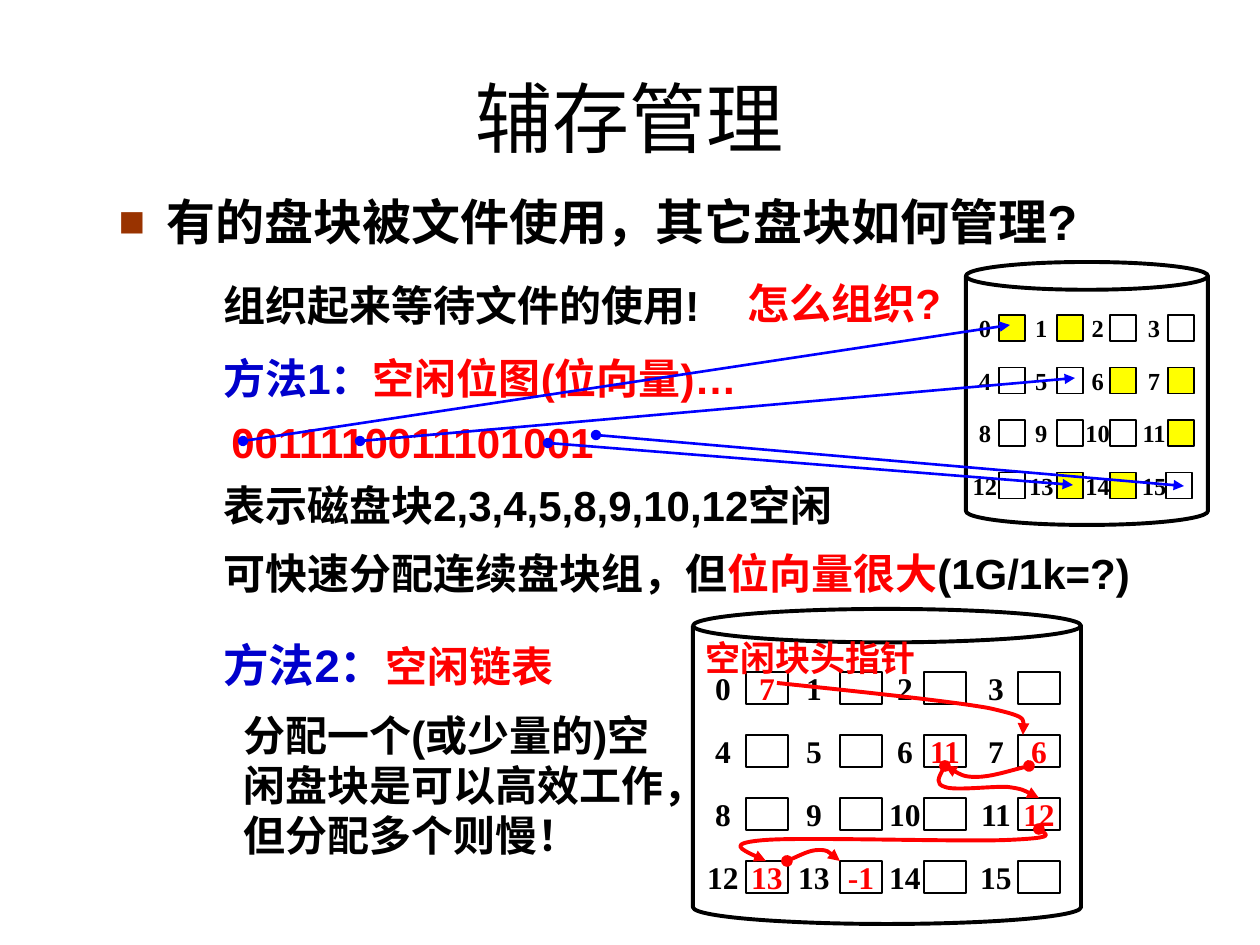
from lxml.etree import SubElement
from pptx import Presentation
from pptx.dml.color import RGBColor
from pptx.enum.shapes import MSO_CONNECTOR, MSO_SHAPE
from pptx.enum.text import MSO_ANCHOR, MSO_AUTO_SIZE, PP_ALIGN
from pptx.oxml.ns import qn
from pptx.util import Emu, Pt

BLACK, RED, NAVY, BLUE, YELLOW, WHITE = "000000", "FF0000", "0000CC", "0000FF", "FFFF00", "FFFFFF"
SANS, CJK, SERIF = "Arial", "Noto Sans CJK SC", "Times New Roman"

STATEMENTS = [
    ((211, 253, 1040, 83), 1.4, [("组织起来等待文件的使用!", BLACK)]),
    ((211, 326, 1040, 83), 1.4, [("方法1：", NAVY), ("空闲位图(位向量)…", RED)]),
    ((219, 410, 630, 63), 1, [("0011110011101001", RED)]),
    ((211, 473, 662, 63), 1, [("表示磁盘块2,3,4,5,8,9,10,12空闲", BLACK)]),
    ((211, 541, 1029, 63), 1,
     [("可快速分配连续盘块组，但", BLACK), ("位向量很大", RED), ("(1G/1k=?)", BLACK)]),
    ((231, 703, 451, 164), 1,
     [("分配一个(或少量的)空闲盘块是可以高效工作，但分配多个则慢！", BLACK)]),
]
USED_BLOCKS = {0, 1, 6, 7, 11, 13, 14}
NEXT_FREE = {0: "7", 6: "11", 7: "6", 11: "12", 12: "13", 13: "-1"}
FIRST_LINK = [(777, 683), (862, 692), (948, 701), (988, 708), (1029, 717), (1026, 726), (1023, 735)]
CHAIN_LINKS = [
    [(1029, 766), (1009, 771), (990, 777), (976, 777), (963, 777), (954, 771), (945, 766)],
    [(945, 766), (940, 775), (935, 784), (945, 787), (955, 791), (993, 786), (1008, 787),
     (1023, 789), (1032, 794), (1039, 798)],
    [(1039, 829), (1047, 834), (1053, 838), (1008, 840), (963, 842), (806, 837), (766, 840),
     (726, 843), (746, 852), (766, 861)],
    [(787, 861), (799, 856), (810, 850), (819, 850), (828, 850), (834, 856), (840, 861)],
]
BIT_ARROWS = [
    ((243, 441), (1010, 325)),
    ((360, 441), (1075, 378)),
    ((548, 443), (1073, 485)),
    ((596, 435), (1184, 486)),
]


def px(length):
    """Turn pixels into EMU."""
    return Emu(round(length * 914400 / 126))


def rgb(code):
    """Turn a hex string into a colour."""
    return RGBColor.from_string(code)


def style_paragraph(paragraph, size, face=SANS, color=BLACK, bold=True):
    """Set the font shared by all runs of a paragraph."""
    font = paragraph.font
    font.size, font.bold, font.name = Pt(size), bold, face
    font.color.rgb = rgb(color)
    SubElement(paragraph._p.pPr.find(qn("a:defRPr")), qn("a:ea"), typeface=CJK)


def place(shape, box):
    """Move and size a shape."""
    shape.left, shape.top, shape.width, shape.height = map(px, box)


def add_statement(shapes, box, parts, spacing=1, size=24, face=SANS, wrap=True):
    """Add a text box with one paragraph of coloured parts."""
    statement = shapes.add_textbox(*map(px, box))
    frame = statement.text_frame
    frame.word_wrap = wrap
    frame.auto_size = MSO_AUTO_SIZE.SHAPE_TO_FIT_TEXT
    paragraph = frame.paragraphs[0]
    paragraph.line_spacing = spacing
    style_paragraph(paragraph, size, face, parts[0][1])
    for words, color in parts:
        run = paragraph.add_run()
        run.text = words
        run.font.color.rgb = rgb(color)
    return paragraph


def center_text(shape, words, size, color):
    """Write a short centred number into a shape."""
    frame = shape.text_frame
    frame.word_wrap = False
    frame.vertical_anchor = MSO_ANCHOR.MIDDLE
    frame.margin_left = frame.margin_right = frame.margin_top = frame.margin_bottom = 0
    paragraph = frame.paragraphs[0]
    paragraph.text = words
    paragraph.alignment = PP_ALIGN.CENTER
    style_paragraph(paragraph, size, SERIF, color)


def add_outlined(shapes, kind, box, width, fill=None):
    """Add a black-outlined preset shape."""
    shape = shapes.add_shape(kind, *map(px, box))
    shape.shadow.inherit = False
    shape.line.color.rgb = rgb(BLACK)
    shape.line.width = Pt(width)
    if fill:
        shape.fill.solid()
        shape.fill.fore_color.rgb = rgb(fill)
    else:
        shape.fill.background()
    return shape


def add_disk(shapes, box, lid):
    """Add the cylinder of a disk."""
    disk = add_outlined(shapes, MSO_SHAPE.CAN, box, 2.25)
    disk.adjustments[0] = lid


def add_arrow_ends(shape, color, width, head):
    """Colour a line and give it its end marks."""
    shape.line.color.rgb = rgb(color)
    shape.line.width = Pt(width)
    outline = shape.element.spPr.find(qn("a:ln"))
    if head:
        SubElement(outline, qn("a:headEnd"), type="oval")
    SubElement(outline, qn("a:tailEnd"), type="triangle")


def add_link(shapes, points, head=True):
    """Add a red curved pointer through Bezier points."""
    builder = shapes.build_freeform(*points[0], scale=px(1))
    builder.add_line_segments(points[1:], close=False)
    link = builder.convert_to_shape()
    link.shadow.inherit = False
    link.fill.background()
    segments = list(link.element.iter(qn("a:lnTo")))
    outline_path = segments[0].getparent()
    for start in range(0, len(segments), 3):
        curve = SubElement(outline_path, qn("a:cubicBezTo"))
        for segment in segments[start:start + 3]:
            curve.append(segment[0])
            outline_path.remove(segment)
    add_arrow_ends(link, RED, 2.25, head)


def add_bit_arrow(shapes, start, end):
    """Add a straight arrow from a bit to its disk block."""
    arrow = shapes.add_connector(MSO_CONNECTOR.STRAIGHT, *map(px, start + end))
    add_arrow_ends(arrow, BLUE, 1.5, True)
    SubElement(arrow.element.spPr, qn("a:effectLst"))


def add_bitmap_disk(shapes):
    """Draw the disk whose used blocks are yellow."""
    add_disk(shapes, (966, 262, 242, 263), 0.115)
    for block in range(16):
        row, column = divmod(block, 4)
        top = 315 + 52.5 * row
        label = shapes.add_textbox(*map(px, (966 + 56.4 * column, top, 38, 26)))
        center_text(label, str(block), 14, BLACK)
        left = 1166 if block == 15 else (999, 1057, 1110, 1168)[column]
        fill = YELLOW if block in USED_BLOCKS else WHITE if block == 15 else None
        add_outlined(shapes, MSO_SHAPE.RECTANGLE, (left, top, 26, 26), 0.75, fill)


def add_chain_disk(shapes):
    """Draw the disk whose free blocks form a linked list."""
    add_disk(shapes, (693, 609, 388, 315), 0.106)
    for block in range(16):
        row, column = divmod(block, 4)
        top = 672 + 63 * row
        label = shapes.add_textbox(*map(px, (693 + 91 * column, top, 60, 32)))
        center_text(label, str(block), 18, BLACK)
        left = (746, 840, 924, 1018)[column]
        cell = add_outlined(shapes, MSO_SHAPE.RECTANGLE, (left, top, 42, 32), 0.75)
        if block in NEXT_FREE:
            center_text(cell, NEXT_FREE[block], 18, RED)
    add_link(shapes, FIRST_LINK, head=False)
    add_statement(shapes, (693, 630, 242, 54), [("空闲块头指针", RED)], size=20, face=SERIF)
    for points in CHAIN_LINKS:
        add_link(shapes, points)


def fill_placeholders(slide):
    """Write the title and the bulleted question."""
    title, question = slide.shapes.title, slide.placeholders[1]
    place(title, (63, 38, 1134, 158))
    title.text_frame.text = "辅存管理"
    title.text_frame.vertical_anchor = MSO_ANCHOR.MIDDLE
    heading = title.text_frame.paragraphs[0]
    heading.alignment = PP_ALIGN.CENTER
    style_paragraph(heading, 44, CJK, bold=False)
    place(question, (106, 168, 1091, 120))
    question.text_frame.text = "有的盘块被文件使用，其它盘块如何管理?"
    question.text_frame.auto_size = MSO_AUTO_SIZE.NONE
    bullet = question.text_frame.paragraphs[0]
    bullet.line_spacing = 1.3
    bullet.space_before = Pt(0)
    properties = bullet._p.get_or_add_pPr()
    properties.set("marL", str(px(48)))
    properties.set("indent", str(px(-48)))
    SubElement(SubElement(properties, qn("a:buClr")), qn("a:srgbClr"), val="993300")
    SubElement(properties, qn("a:buSzPct"), val="90000")
    SubElement(properties, qn("a:buChar"), char="■")
    style_paragraph(bullet, 28)


def main():
    """Build the slide and save it."""
    deck = Presentation()
    deck.slide_width, deck.slide_height = px(1260), px(945)
    slide = deck.slides.add_slide(deck.slide_layouts[1])
    shapes = slide.shapes
    fill_placeholders(slide)
    for box, spacing, parts in STATEMENTS:
        add_statement(shapes, box, parts, spacing)
    add_statement(shapes, (735, 271, 219, 63), [("怎么组织?", RED)], wrap=False)
    method = add_statement(shapes, (211, 609, 1040, 89), [("方法2：", NAVY), ("空闲链表", RED)], 1.4, 26)
    method.runs[1].font.size = Pt(24)
    add_chain_disk(shapes.add_group_shape().shapes)
    add_bitmap_disk(shapes.add_group_shape().shapes)
    for start, end in BIT_ARROWS:
        add_bit_arrow(shapes, start, end)
    deck.save("out.pptx")


if __name__ == "__main__":
    main()
